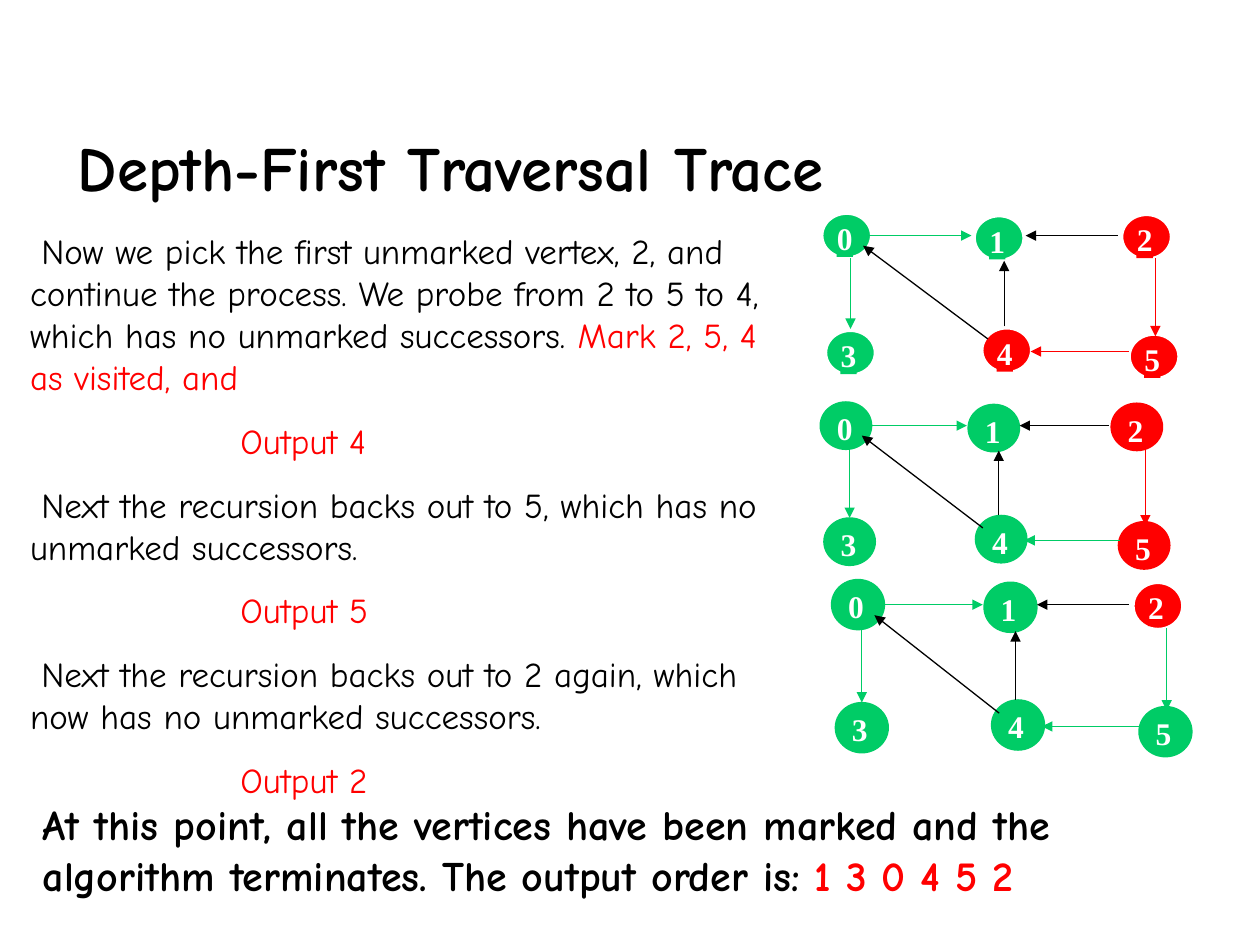
"""Build the depth-first traversal trace slide with its three graph stages."""
from lxml import etree
from pptx import Presentation
from pptx.dml.color import RGBColor
from pptx.enum.shapes import MSO_CONNECTOR, MSO_SHAPE
from pptx.enum.text import MSO_ANCHOR, PP_ALIGN
from pptx.oxml.ns import qn
from pptx.util import Inches, Pt

BLACK = RGBColor(0x00, 0x00, 0x00)
WHITE = RGBColor(0xFF, 0xFF, 0xFF)
RED = RGBColor(0xFF, 0x00, 0x00)
GREEN = RGBColor(0x00, 0xCC, 0x66)

TITLE = {"name": "Comic Neue", "size": Pt(36), "bold": True}
BODY = {"name": "Comic Neue", "size": Pt(20), "bold": False}
SUMMARY = {"name": "Comic Neue", "size": Pt(24), "bold": True}
LABEL = {"name": "Times New Roman", "size": Pt(18), "bold": True}

deck = Presentation()
deck.slide_width, deck.slide_height = Inches(10), Inches(7.5)
page = deck.slides.add_slide(deck.slide_layouts[6])


def write(para, spans, style):
    for text, color in spans:
        span = para.add_run()
        span.text = text
        for name, value in style.items():
            setattr(span.font, name, value)
        span.font.color.rgb = color


def add_solid(kind, left, top, width, height, fill, outline, weight):
    shape = page.shapes.add_shape(kind, Inches(left), Inches(top), Inches(width), Inches(height))
    shape.shadow.inherit = False
    shape.fill.solid()
    shape.fill.fore_color.rgb = fill
    if outline is None:
        shape.line.fill.background()
    else:
        shape.line.color.rgb = outline
        shape.line.width = Pt(weight)
    return shape


steps = [
    [("Now we pick the first unmarked vertex, 2, and continue the process. We probe from 2 to 5 to 4, "
      "which has no unmarked successors. ", BLACK), ("Mark 2, 5, 4 as visited, and", RED)],
    [("Output 4", RED)],
    [("Next the recursion backs out to 5, which has no unmarked successors.", BLACK)],
    [("Output 5", RED)],
    [("Next the recursion backs out to 2 again, which now has no unmarked successors.", BLACK)],
    [("Output 2", RED)],
]
summary = [("At this point, all the vertices have been marked and the algorithm terminates. "
            "The output order is: ", BLACK), ("1 3 0 4 5 2", RED)]
text_boxes = [
    ((0.52, 0.94, 8.64, 0.73), MSO_ANCHOR.BOTTOM, TITLE, [[("Depth-First Traversal Trace", BLACK)]]),
    ((0.14, 1.77, 6.26, 5.15), MSO_ANCHOR.TOP, BODY, steps),
    ((0.24, 6.29, 9.19, 0.9), MSO_ANCHOR.TOP, SUMMARY, [summary]),
]
for bounds, anchor, style, paragraphs in text_boxes:
    box = page.shapes.add_textbox(*map(Inches, bounds))
    frame = box.text_frame
    frame.word_wrap = True
    frame.vertical_anchor = anchor
    for index, spans in enumerate(paragraphs):
        para = frame.add_paragraph() if index else frame.paragraphs[0]
        if index:
            para.space_before = Pt(12.5)
        if style is BODY:
            is_output = index % 2 == 1
            properties = para._p.get_or_add_pPr()
            properties.set("marL", str(Inches(1.67 if is_output else 0)))
            properties.set("indent", str(Inches(0 if is_output else 0.09)))
        write(para, spans, style)

vertices = {4: (1.27, 0.91), 3: (0.03, 0.93), 5: (2.44, 0.96), 2: (2.38, 0.01), 1: (1.21, 0.02), 0: (0, 0)}
tree_edges = [
    (3, (0.23, 0.36), (0.23, 0.92)),
    (1, (0.37, 0.18), (1.19, 0.18)),
    (4, (2.44, 1.1), (1.66, 1.1)),
    (5, (2.65, 0.36), (2.65, 0.98)),
]
other_edges = [
    (None, (1.32, 1), (0.33, 0.26)),
    (None, (1.45, 0.9), (1.45, 0.38)),
    (None, (2.35, 0.18), (1.62, 0.18)),
]
stages = [
    ((6.52, 1.69), (1, 1), {2, 4, 5}, set(vertices)),
    ((6.52, 3.2), (0.97, 0.99), {2, 5}, set()),
    ((6.61, 4.61), (1, 1.05), {2}, {2}),
]
for (left, top), (scale_x, scale_y), red_vertices, white_rims in stages:
    for vertex, (x, y) in vertices.items():
        color = RED if vertex in red_vertices else GREEN
        rimmed = vertex in white_rims
        node_left, node_top = left + x * scale_x, top + y * scale_y
        add_solid(MSO_SHAPE.OVAL, node_left, node_top, 0.4 * scale_x, 0.36 * scale_y,
                  color, WHITE if rimmed else color, 2.25)
        label = add_solid(MSO_SHAPE.RECTANGLE, node_left + 0.12, node_top + 0.05, 0.13, 0.3,
                          color, None if rimmed else color, 0.75)
        frame = label.text_frame
        layout = {"margin_left": 0, "margin_right": 0, "margin_top": 0, "margin_bottom": 0,
                  "word_wrap": False, "vertical_anchor": MSO_ANCHOR.TOP}
        for name, value in layout.items():
            setattr(frame, name, value)
        frame.paragraphs[0].alignment = PP_ALIGN.CENTER
        write(frame.paragraphs[0], [(str(vertex), WHITE)], LABEL)

    for target, start, end in tree_edges + other_edges:
        ends = [Inches(value) for x, y in (start, end) for value in (left + x * scale_x, top + y * scale_y)]
        arrow = page.shapes.add_connector(MSO_CONNECTOR.STRAIGHT, *ends)
        arrow.line.width = Pt(0.75)
        arrow.line.color.rgb = BLACK if target is None else RED if target in red_vertices else GREEN
        etree.SubElement(arrow.line._get_or_add_ln(), qn("a:tailEnd"), type="triangle")
        etree.SubElement(arrow._element.spPr, qn("a:effectLst"))

deck.save("out.pptx")
